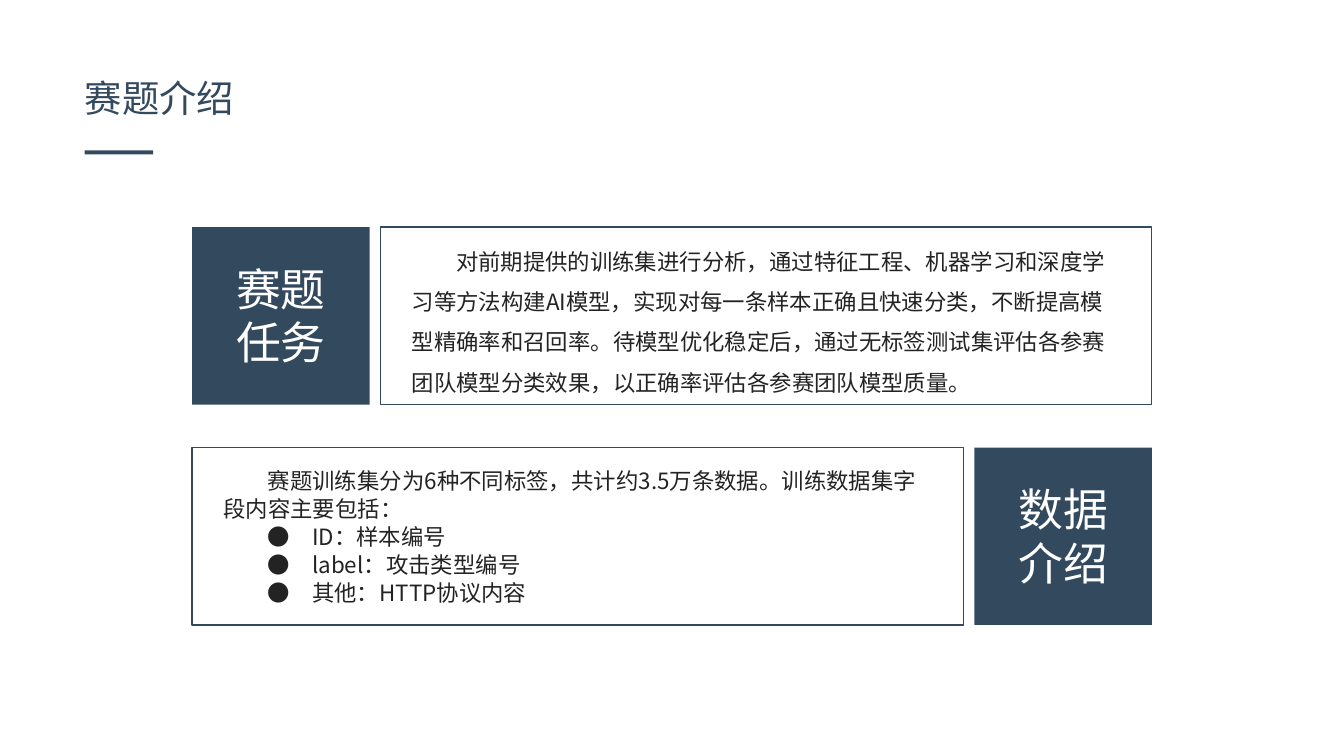
from lxml import etree
from pptx import Presentation
from pptx.dml.color import RGBColor
from pptx.enum import shapes, text
from pptx.oxml.ns import qn
from pptx.util import Inches, Pt

FONT = "Noto Sans CJK SC"
NAVY, INK, WHITE = "33495E", "232323", "FFFFFF"
SQUARE, FRAME_WIDTH = 1.32, 5.74
INDENT = 0.33

TASK = ("对前期提供的训练集进行分析，通过特征工程、机器学习和深度学习等方法构建AI模型，"
        "实现对每一条样本正确且快速分类，不断提高模型精确率和召回率。待模型优化稳定后，"
        "通过无标签测试集评估各参赛团队模型分类效果，以正确率评估各参赛团队模型质量。")
DATA = "赛题训练集分为6种不同标签，共计约3.5万条数据。训练数据集字段内容主要包括："
FIELDS = ["ID：样本编号", "label：攻击类型编号", "其他：HTTP协议内容"]


def rgb(value):
    return RGBColor.from_string(value)


def set_font(paragraph, size, color):
    font = paragraph.font
    font.name, font.size = FONT, Pt(size)
    font.color.rgb = rgb(color)
    latin = paragraph._p.pPr.find(qn("a:defRPr")).find(qn("a:latin"))
    latin.addnext(etree.Element(qn("a:ea"), typeface=FONT))


def set_indent(paragraph, left, first, bullet=None):
    properties = paragraph._p.get_or_add_pPr()
    properties.set("marL", str(Inches(left)))
    properties.set("indent", str(Inches(first)))
    if bullet:
        etree.SubElement(properties, qn("a:buFont"), typeface=FONT)
        etree.SubElement(properties, qn("a:buChar"), char=bullet)


def add_rect(slide, left, top, width, height, fill=None, line=None):
    rect = slide.shapes.add_shape(shapes.MSO_SHAPE.RECTANGLE, Inches(left),
                                  Inches(top), Inches(width), Inches(height))
    rect.shadow.inherit = False
    if fill:
        rect.fill.solid()
        rect.fill.fore_color.rgb = rgb(fill)
    else:
        rect.fill.background()
    if line:
        rect.line.color.rgb = rgb(line)
        rect.line.width = Pt(0.75)
    else:
        rect.line.fill.background()


def add_centred_text(slide, box, width, height):
    """Add a text frame of the given size in the middle of box."""
    left, top, box_width, box_height = box
    frame = slide.shapes.add_textbox(
        Inches(left + (box_width - width) / 2),
        Inches(top + (box_height - height) / 2),
        Inches(width), Inches(height)).text_frame
    frame.word_wrap = True
    return frame


def add_title(slide, left, top):
    title = slide.shapes.title
    title.left, title.top = Inches(left), Inches(top)
    title.width, title.height = Inches(3.66), Inches(0.44)
    frame = title.text_frame
    frame.text = "赛题介绍"
    frame.vertical_anchor = text.MSO_ANCHOR.TOP
    frame.auto_size = text.MSO_AUTO_SIZE.NONE
    heading = frame.paragraphs[0]
    heading.alignment = text.PP_ALIGN.LEFT
    set_font(heading, 20, NAVY)
    add_rect(slide, left + 0.1, top + 0.61, 0.51, 0.03, fill=NAVY)


def add_label(slide, left, top, label):
    box = (left, top, SQUARE, SQUARE)
    add_rect(slide, *box, fill=NAVY)
    frame = add_centred_text(slide, box, 0.96, 0.81)
    frame.margin_left = frame.margin_right = 0
    frame.margin_top = frame.margin_bottom = 0
    paragraph = frame.paragraphs[0]
    paragraph.text = label
    paragraph.alignment = text.PP_ALIGN.CENTER
    set_font(paragraph, 24, WHITE)


def add_description(slide, left, top, height, spacing, intro, items=()):
    box = (left, top, FRAME_WIDTH, SQUARE)
    add_rect(slide, *box, line=NAVY)
    frame = add_centred_text(slide, box, 5.47, height)
    for index, content in enumerate([intro, *items]):
        paragraph = frame.add_paragraph() if index else frame.paragraphs[0]
        paragraph.text = content
        paragraph.line_spacing = spacing
        if index:
            set_indent(paragraph, 2 * INDENT, -INDENT, "●")
        else:
            set_indent(paragraph, 0, INDENT)
        set_font(paragraph, 12, INK)


def main():
    deck = Presentation()
    deck.slide_width = Inches(10)
    deck.slide_height = deck.slide_width * 9 // 16
    slide = deck.slides.add_slide(deck.slide_layouts[5])
    left, right = 1.43, 8.57
    task_top, data_top = 1.69, 3.33

    add_title(slide, 0.53, 0.51)
    add_label(slide, left, task_top, "赛题任务")
    add_description(slide, right - FRAME_WIDTH, task_top, 1.31, 1.5, TASK)
    add_description(slide, left, data_top, 1.15, Pt(15), DATA, FIELDS)
    add_label(slide, right - SQUARE, data_top, "数据介绍")
    deck.save("out.pptx")


if __name__ == "__main__":
    main()
